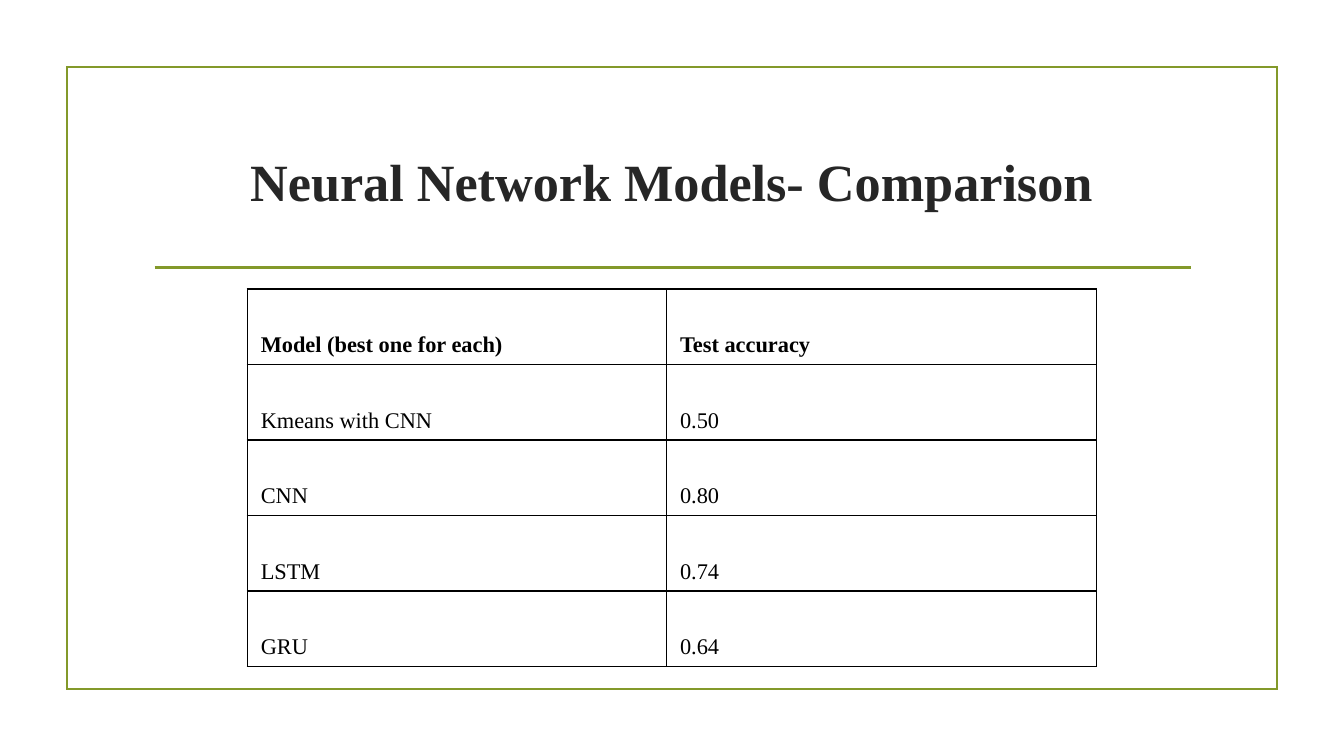
"""Build a slide that compares the test accuracy of neural network models."""
from lxml import etree
from pptx import Presentation
from pptx.dml.color import RGBColor
from pptx.enum.shapes import MSO_CONNECTOR, MSO_SHAPE
from pptx.enum.text import MSO_ANCHOR, PP_ALIGN
from pptx.oxml.ns import qn
from pptx.util import Inches, Pt

STRAIGHT = MSO_CONNECTOR.STRAIGHT
RECTANGLE = MSO_SHAPE.RECTANGLE
MIDDLE, BOTTOM = MSO_ANCHOR.MIDDLE, MSO_ANCHOR.BOTTOM
LEFT, CENTER = PP_ALIGN.LEFT, PP_ALIGN.CENTER
FONT = "Times New Roman"
COLORS = {"accent": "83992A", "title": "262626", "black": "000000"}
ROWS = [
    ("Model (best one for each)", "Test accuracy"),
    ("Kmeans with CNN", "0.50"),
    ("CNN", "0.80"),
    ("LSTM", "0.74"),
    ("GRU", "0.64"),
]
COLUMN_WIDTHS = [3.12, 3.2]
TABLE_HEIGHT = 2.81


def write_text(frame, text, size=12, color="black", bold=False, align=LEFT):
    paragraph = frame.paragraphs[0]
    paragraph.alignment = align
    run = paragraph.add_run()
    run.text = text
    run.font.name = FONT
    run.font.size = Pt(size)
    run.font.bold = bold
    run.font.color.rgb = RGBColor.from_string(COLORS[color])


def add_borders(cell, color="black", width=0.75):
    properties = cell._tc.get_or_add_tcPr()
    for side in ("lnL", "lnR", "lnT", "lnB"):
        border = etree.SubElement(properties, qn(f"a:{side}"), w=str(Pt(width)))
        fill = etree.SubElement(border, qn("a:solidFill"))
        etree.SubElement(fill, qn("a:srgbClr"), val=COLORS[color])


presentation = Presentation()
presentation.slide_width = Inches(10)
presentation.slide_height = Inches(10 * 9 / 16)
slide = presentation.slides.add_slide(presentation.slide_layouts[5])
accent = RGBColor.from_string(COLORS["accent"])

frame = slide.shapes.add_shape(RECTANGLE, Inches(0.5), Inches(0.5), Inches(9), Inches(4.63))
frame.shadow.inherit = False
frame.fill.background()
frame.line.color.rgb = accent
frame.line.width = Pt(1.25)
etree.SubElement(frame.line._get_or_add_ln(), qn("a:miter"), lim="800000")

divider = slide.shapes.add_connector(STRAIGHT, Inches(1.15), Inches(1.99), Inches(8.86), Inches(1.99))
divider.line.color.rgb = accent
divider.line.width = Pt(1.25)
etree.SubElement(divider._element.spPr, qn("a:effectLst"))

title = slide.shapes.title
title.left, title.top = Inches(1.06), Inches(0.81)
title.width, title.height = Inches(7.87), Inches(1.07)
title.text_frame.vertical_anchor = MIDDLE
write_text(title.text_frame, "Neural Network Models- Comparison", size=28, color="title", bold=True, align=CENTER)

table = slide.shapes.add_table(
    len(ROWS), len(COLUMN_WIDTHS), Inches(1.84), Inches(2.15),
    Inches(sum(COLUMN_WIDTHS)), Inches(TABLE_HEIGHT),
).table
table.horz_banding = False
for column, width in zip(table.columns, COLUMN_WIDTHS):
    column.width = Inches(width)
for row_index, values in enumerate(ROWS):
    for column_index, value in enumerate(values):
        cell = table.cell(row_index, column_index)
        cell.vertical_anchor = BOTTOM
        add_borders(cell)
        cell.fill.background()
        write_text(cell.text_frame, value, bold=row_index == 0)

presentation.save("out.pptx")
